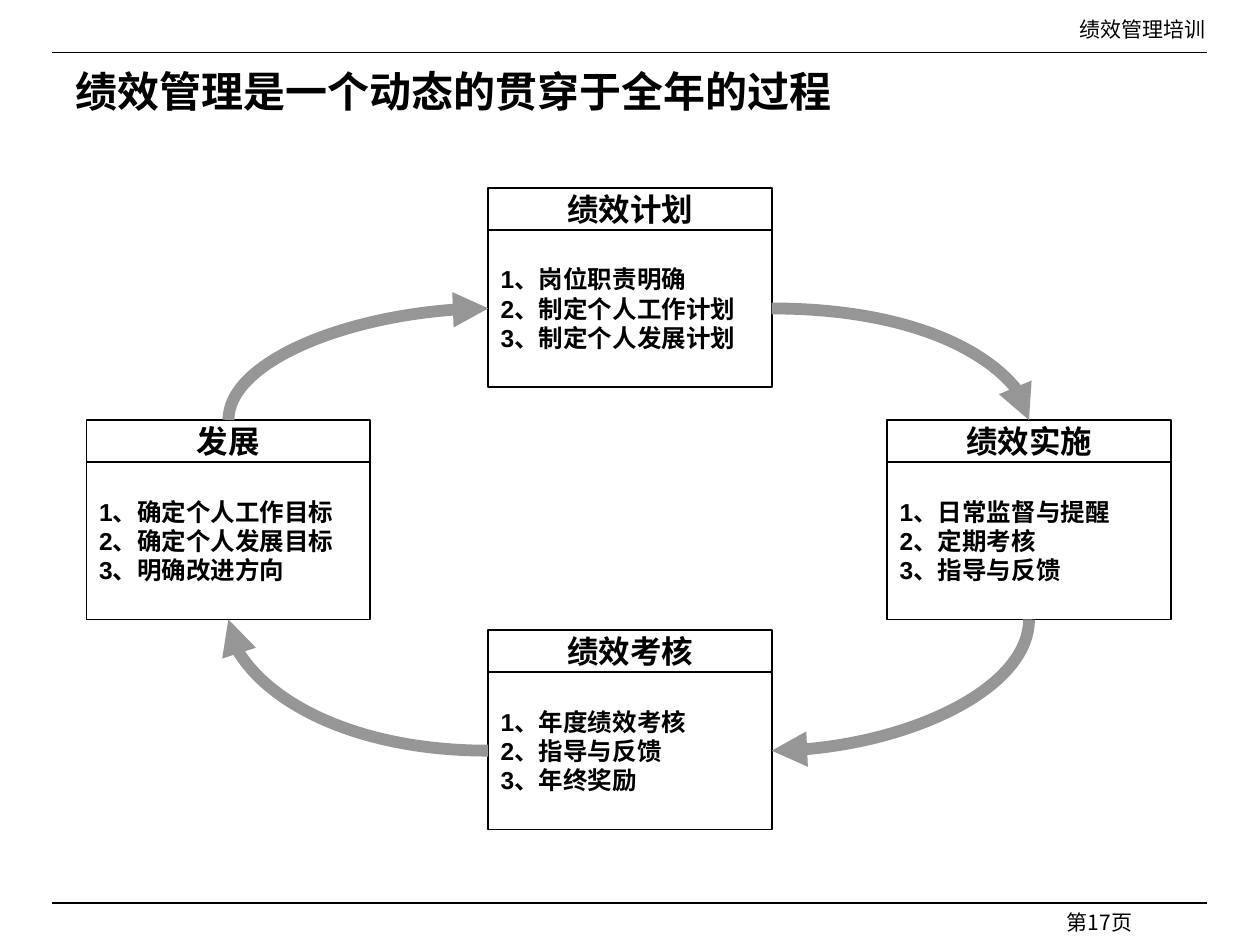
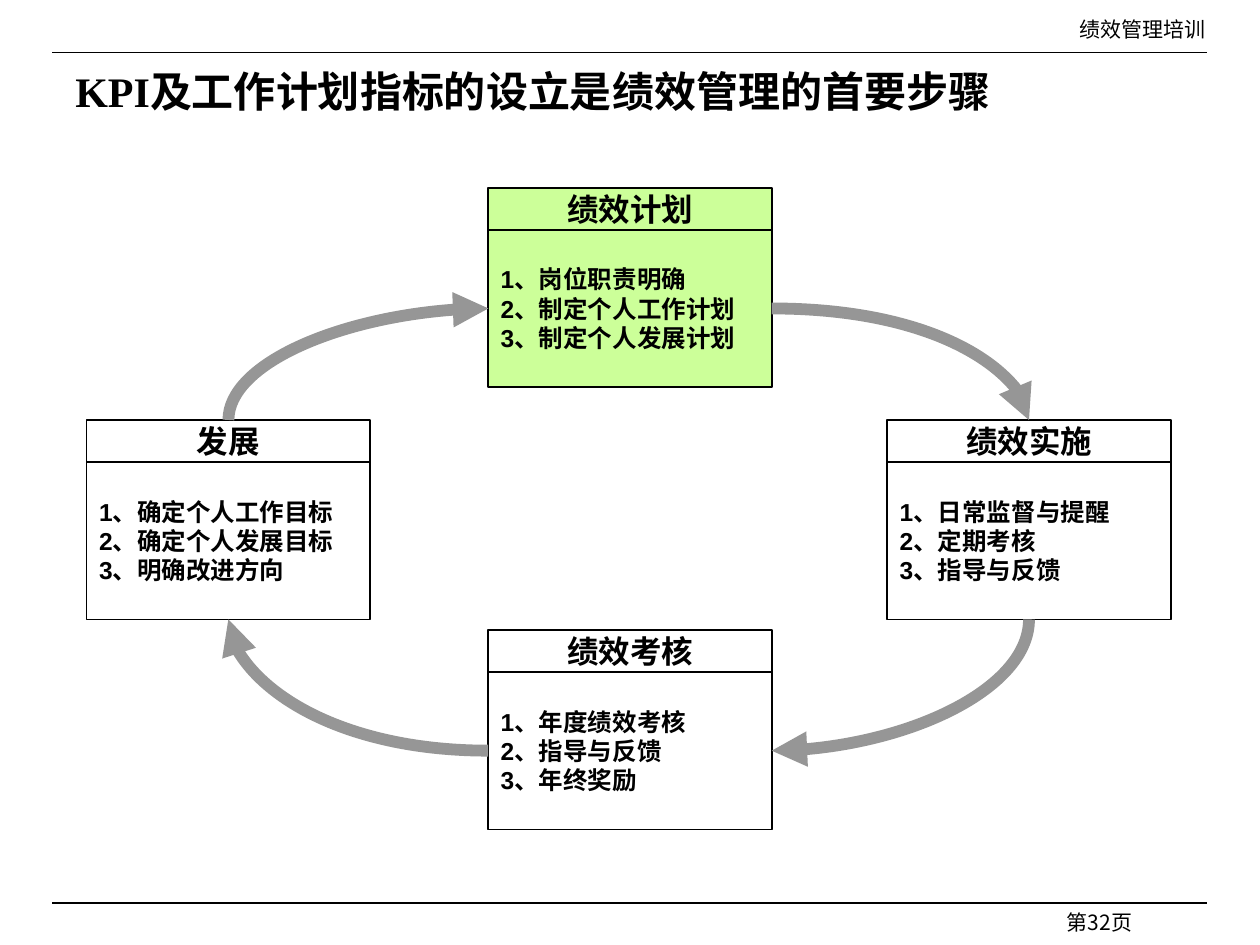
"""Build two slides showing the yearly performance management cycle."""
import dataclasses
import typing

import lxml.etree
import pptx
import pptx.dml.color
import pptx.enum.shapes
import pptx.enum.text
import pptx.oxml.ns
import pptx.util

UNIT = pptx.util.Inches(1) / 24
COLUMNS, ROWS = 240, 180
MARGIN, TOP_RULE, BOTTOM_RULE = 10, 10, 172
CARD_WIDTH, HEADING_HEIGHT, BODY_HEIGHT = 54, 8, 30

BLACK, GREY, GREEN = "000000", "969696", "CCFF99"
SERIF, SANS, CHINESE = "Times New Roman", "Arial", "Noto Sans CJK SC"
ALIGN = pptx.enum.text.PP_ALIGN
CONNECTOR = pptx.enum.shapes.MSO_CONNECTOR
TOP, LEFT, BOTTOM, RIGHT = range(4)


class Area(typing.NamedTuple):
    """A rectangle in grid columns and rows."""
    column: float
    row: float
    width: float
    height: float


@dataclasses.dataclass(frozen=True)
class TextStyle:
    """Font and paragraph settings for one kind of text."""
    size: int
    font: str
    bold: bool = False
    align: ALIGN = ALIGN.LEFT
    space_before: float = 0


@dataclasses.dataclass(frozen=True)
class Stage:
    """One step of the cycle and the place of its card."""
    heading: str
    items: tuple[str, ...]
    column: float
    row: float


class Arrow(typing.NamedTuple):
    """A curved link from a card's body to a side of another card."""
    source: str
    source_side: int
    target: str
    target_side: int


@dataclasses.dataclass(frozen=True)
class CyclePage:
    """What differs between the slides."""
    title: str
    number: int
    highlighted: str = ""


TITLE = TextStyle(24, SERIF, bold=True)
RUNNING_HEAD = TextStyle(12, SERIF, align=ALIGN.RIGHT, space_before=7.5)
PAGE_NUMBER = TextStyle(12, CHINESE, align=ALIGN.RIGHT, space_before=7.5)
HEADING = TextStyle(18, SANS, bold=True, align=ALIGN.CENTER)
BODY = TextStyle(14, SANS, bold=True)

PLAN, REVIEW, GROWTH, ACTION = "绩效计划", "绩效考核", "发展", "绩效实施"
STAGES = (
    Stage(PLAN, ("岗位职责明确", "制定个人工作计划", "制定个人发展计划"), 93, 35.75),
    Stage(REVIEW, ("年度绩效考核", "指导与反馈", "年终奖励"), 93, 120),
    Stage(GROWTH, ("确定个人工作目标", "确定个人发展目标", "明确改进方向"), 16.5, 80),
    Stage(ACTION, ("日常监督与提醒", "定期考核", "指导与反馈"), 169, 80),
)
ARROWS = (
    Arrow(PLAN, RIGHT, ACTION, TOP),
    Arrow(ACTION, BOTTOM, REVIEW, RIGHT),
    Arrow(REVIEW, LEFT, GROWTH, BOTTOM),
    Arrow(GROWTH, TOP, PLAN, LEFT),
)
PAGES = (
    CyclePage("绩效管理是一个动态的贯穿于全年的过程", 17),
    CyclePage("KPI及工作计划指标的设立是绩效管理的首要步骤", 32, PLAN),
)


def grid(length: float) -> int:
    """Turn grid units into slide units."""
    return round(length * UNIT)


def color(value: str) -> pptx.dml.color.RGBColor:
    """Turn a hex string into a colour."""
    return pptx.dml.color.RGBColor.from_string(value)


def write(box, lines: typing.Sequence[str], style: TextStyle, middle: bool, wrap: bool) -> None:
    """Fill a box with one styled paragraph per line."""
    frame = box.text_frame
    frame.text = "\n".join(lines)
    frame.word_wrap = wrap
    anchor = pptx.enum.text.MSO_ANCHOR
    frame.vertical_anchor = anchor.MIDDLE if middle else anchor.TOP
    for para in frame.paragraphs:
        para.alignment = style.align
        para.space_before = pptx.util.Pt(style.space_before)
        for span in para.runs:
            span.font.size = pptx.util.Pt(style.size)
            span.font.bold = style.bold
            span.font.color.rgb = color(BLACK)
            span.font.name = style.font
            east_asian = lxml.etree.SubElement(span.font._element, pptx.oxml.ns.qn("a:ea"))
            east_asian.set("typeface", CHINESE)


def add_text(page, area: Area, text: str, style: TextStyle, middle: bool = False) -> None:
    """Add a wrapped text box."""
    box = page.shapes.add_textbox(*map(grid, area))
    write(box, [text], style, middle, wrap=True)


def add_panel(page, area: Area, lines: typing.Sequence[str], style: TextStyle, fill: str):
    """Add an outlined rectangle with text."""
    rectangle = pptx.enum.shapes.MSO_SHAPE.RECTANGLE
    box = page.shapes.add_shape(rectangle, *map(grid, area))
    box.shadow.inherit = False
    if fill:
        box.fill.solid()
        box.fill.fore_color.rgb = color(fill)
    else:
        box.fill.background()
    box.line.color.rgb = color(BLACK)
    box.line.width = pptx.util.Pt(1)
    write(box, lines, style, middle=True, wrap=False)
    return box


def add_card(page, stage: Stage, fill: str) -> tuple:
    """Add a stage's heading and its numbered list."""
    heading_area = Area(stage.column, stage.row, CARD_WIDTH, HEADING_HEIGHT)
    body_area = Area(stage.column, stage.row + HEADING_HEIGHT, CARD_WIDTH, BODY_HEIGHT)
    items = [f"{number}、{item}" for number, item in enumerate(stage.items, 1)]
    return (add_panel(page, heading_area, [stage.heading], HEADING, fill),
            add_panel(page, body_area, items, BODY, fill))


def style_line(connector, stroke: str, width: float) -> None:
    """Give a connector its stroke and no shadow."""
    connector.line.color.rgb = color(stroke)
    connector.line.width = pptx.util.Pt(width)
    lxml.etree.SubElement(connector._element.spPr, pptx.oxml.ns.qn("a:effectLst"))


def add_rule(page, row: float) -> None:
    """Add a thin line between the side margins."""
    ends = map(grid, (MARGIN, row, COLUMNS - MARGIN, row))
    style_line(page.shapes.add_connector(CONNECTOR.STRAIGHT, *ends), BLACK, 0.75)


def turn_quarter(connector) -> None:
    """Rotate the frame by 90 degrees while both ends stay in place."""
    start_x, start_y = connector.begin_x, connector.begin_y
    end_x, end_y = connector.end_x, connector.end_y
    center_x, center_y = (start_x + end_x) // 2, (start_y + end_y) // 2
    connector.begin_x = center_x + start_y - center_y
    connector.begin_y = center_y - start_x + center_x
    connector.end_x = center_x + end_y - center_y
    connector.end_y = center_y - end_x + center_x
    connector._element.spPr.find(pptx.oxml.ns.qn("a:xfrm")).set("rot", str(90 * 60000))


def add_arrow(page, arrow: Arrow, cards: dict[str, tuple]) -> None:
    """Add a quarter-curve arrow attached to two cards."""
    connector = page.shapes.add_connector(CONNECTOR.CURVE, 0, 0, 0, 0)
    target_heading, target_body = cards[arrow.target]
    target = target_heading if arrow.target_side == TOP else target_body
    source = cards[arrow.source][0 if arrow.source_side == TOP else 1]
    connector.begin_connect(source, arrow.source_side)
    connector.end_connect(target, arrow.target_side)
    if arrow.source_side in (TOP, BOTTOM):
        turn_quarter(connector)
    geometry = connector._element.spPr.find(pptx.oxml.ns.qn("a:prstGeom"))
    geometry.set("prst", "curvedConnector2")
    style_line(connector, GREY, 6.75)
    stroke = connector.line._get_or_add_ln()
    lxml.etree.SubElement(stroke, pptx.oxml.ns.qn("a:tailEnd")).set("type", "triangle")


def add_frame(page, content: CyclePage) -> None:
    """Add the rules, running head, page number and title."""
    for row in (TOP_RULE, BOTTOM_RULE):
        add_rule(page, row)
    add_text(page, Area(168, BOTTOM_RULE, 50, 4), f"第{content.number}页", PAGE_NUMBER)
    add_text(page, Area(120, 2, 112, 7), "绩效管理培训", RUNNING_HEAD)
    add_text(page, Area(12, 11.25, 214, 12), content.title, TITLE, middle=True)


def add_cycle(page, highlighted: str) -> None:
    """Add the four cards and the arrows between them."""
    cards = {
        stage.heading: add_card(page, stage, GREEN if stage.heading == highlighted else "")
        for stage in STAGES
    }
    for arrow in ARROWS:
        add_arrow(page, arrow, cards)


def main() -> None:
    """Build and save the deck."""
    deck = pptx.Presentation()
    deck.slide_width, deck.slide_height = grid(COLUMNS), grid(ROWS)
    blank = deck.slide_layouts[6]
    for content in PAGES:
        page = deck.slides.add_slide(blank)
        add_frame(page, content)
        add_cycle(page, content.highlighted)
    deck.save("out.pptx")


if __name__ == "__main__":
    main()
